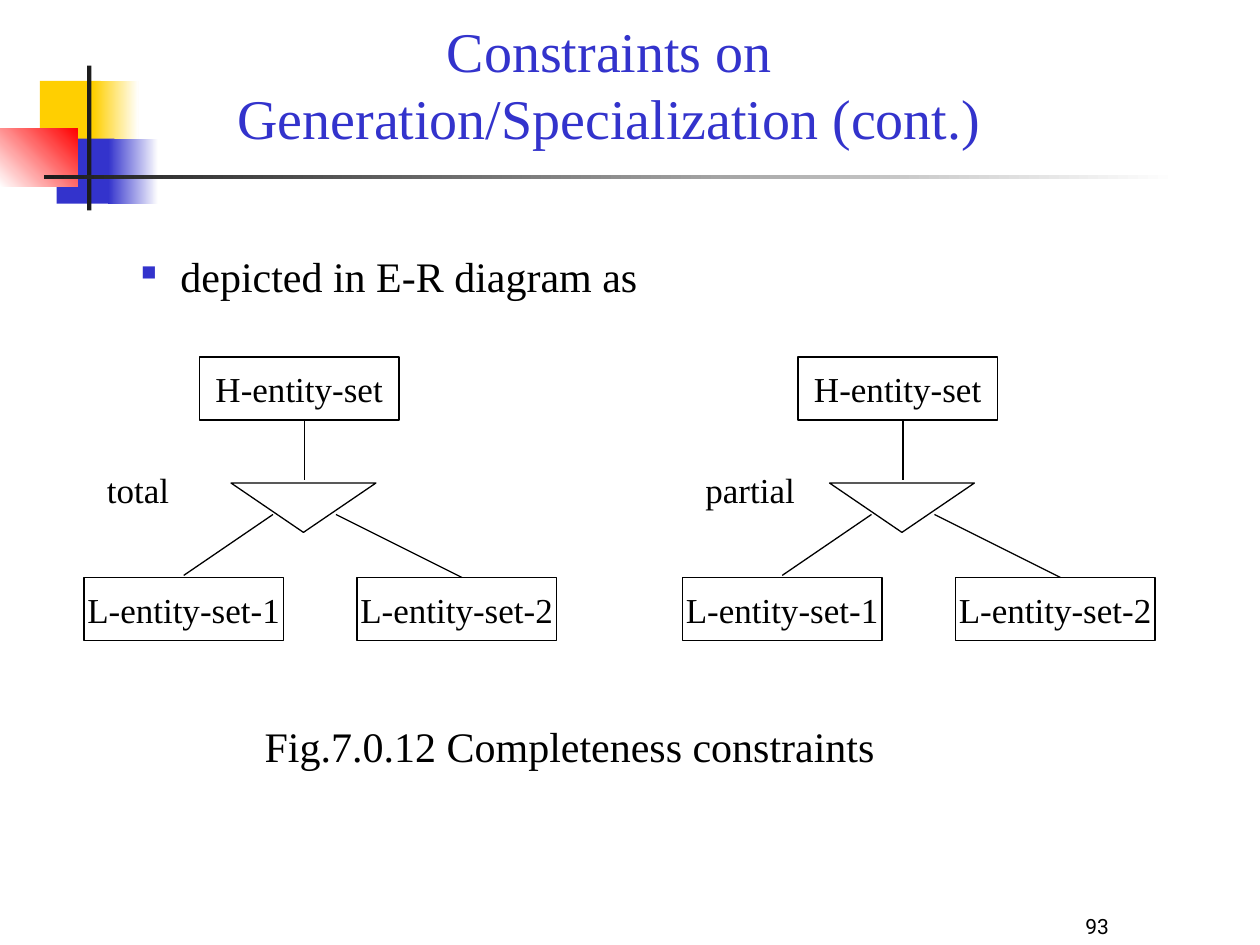
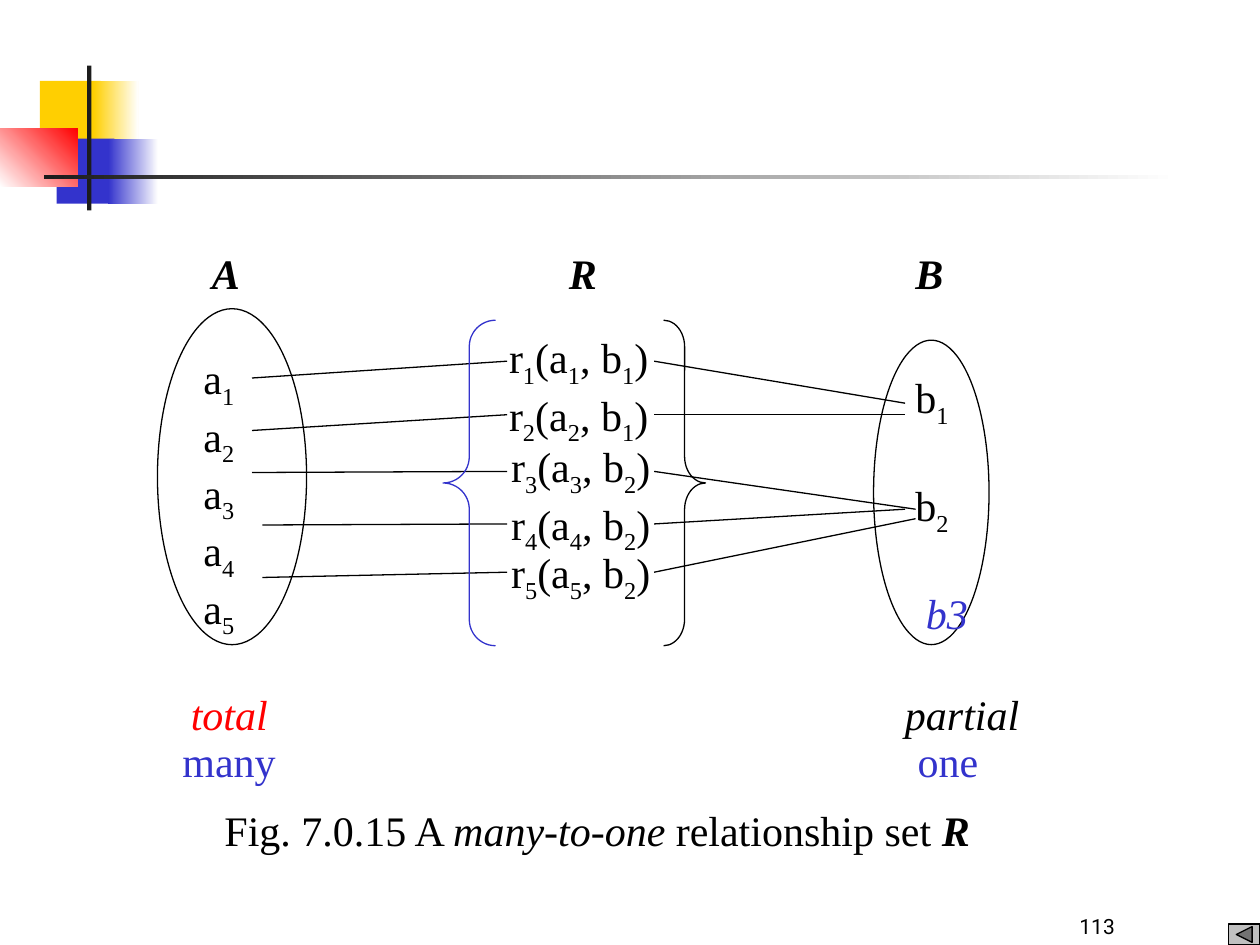
from lxml import etree
from pptx import Presentation
from pptx.dml.color import RGBColor
from pptx.enum.shapes import MSO_CONNECTOR, MSO_SHAPE as SHAPE
from pptx.enum.text import MSO_ANCHOR as ANCHOR, MSO_AUTO_SIZE, PP_ALIGN as ALIGN
from pptx.oxml.ns import qn
from pptx.util import Inches, Pt

BLACK = RGBColor(0x00, 0x00, 0x00)
WHITE = RGBColor(0xFF, 0xFF, 0xFF)
BLUE = RGBColor(0x33, 0x33, 0xCC)
YELLOW = RGBColor(0xFF, 0xCF, 0x01)
RED = RGBColor(0xFF, 0x00, 0x00)
DARK = RGBColor(0x1C, 0x1C, 0x1C)
GRAY = RGBColor(0xC0, 0xC0, 0xC0)

SERIF, SANS = "Times New Roman", "Roboto"
COLS, ROWS = 120, 90
TITLE_ONLY, BLANK = 5, 6


def add_run(p, text, size=24, color=BLACK, font=SERIF, bold=False, italic=False, sub=False):
    r = p.add_run()
    r.text = text
    f = r.font
    f.size, f.name, f.bold, f.italic = Pt(size), font, bold, italic
    f.color.rgb = color
    if sub:
        r._r.get_or_add_rPr().set("baseline", "-25000")


def write(p, text, align=ALIGN.LEFT, **fmt):
    p.alignment = align
    head, *tails = text.split("_")
    add_run(p, head, **fmt)
    for tail in tails:
        add_run(p, tail[0], sub=True, **fmt)
        if tail[1:]:
            add_run(p, tail[1:], **fmt)


class Deck:
    def __init__(self):
        self.prs = Presentation()
        self.prs.slide_width, self.prs.slide_height = Inches(10), Inches(7.5)
        self.slide = None

    def x(self, cols):
        return round(self.prs.slide_width * cols / COLS)

    def y(self, rows):
        return round(self.prs.slide_height * rows / ROWS)

    def box(self, x, y, w, h):
        return self.x(x), self.y(y), self.x(w), self.y(h)

    def start(self, number, title=None):
        layout = self.prs.slide_layouts[TITLE_ONLY if title else BLANK]
        self.slide = self.prs.slides.add_slide(layout)
        self.ornament()
        if title:
            self.title(title)
        self.text(number, 92, 84, 25, 6, anchor=ANCHOR.BOTTOM,
                  align=ALIGN.CENTER, size=12, font=SANS)

    def ornament(self):
        self.shape(SHAPE.RECTANGLE, 3.8, 7.7, 5.8, 6.2, fill=YELLOW, line=None)
        self.gradient(8.9, 7.7, 4.3, 6.2, YELLOW, WHITE)
        self.shape(SHAPE.RECTANGLE, 5.4, 13.2, 5.5, 6.2, fill=BLUE, line=None)
        self.gradient(10.3, 13.2, 4.8, 6.2, BLUE, WHITE)
        self.gradient(0, 12.2, 7.4, 5.6, WHITE, RED, angle=45)
        self.shape(SHAPE.RECTANGLE, 8.3, 6.25, 0.4, 13.8, fill=DARK, line=None)
        self.gradient(4.2, 16.65, 108, 0.45, DARK, WHITE)

    def title(self, text):
        sp = self.slide.shapes.title
        sp.left, sp.top, sp.width, sp.height = self.box(17.6, 0, 80.9, 15)
        tf = sp.text_frame
        tf.auto_size, tf.vertical_anchor = MSO_AUTO_SIZE.NONE, ANCHOR.BOTTOM
        write(tf.paragraphs[0], text, align=ALIGN.CENTER, size=32, color=BLUE)

    def shape(self, kind, x, y, w, h, fill=None, line=BLACK):
        sp = self.slide.shapes.add_shape(kind, *self.box(x, y, w, h))
        sp.shadow.inherit = False
        if fill is None:
            sp.fill.background()
        else:
            sp.fill.solid()
            sp.fill.fore_color.rgb = fill
        if line is None:
            sp.line.fill.background()
        else:
            sp.line.color.rgb, sp.line.width = line, Pt(0.75)
        return sp

    def gradient(self, x, y, w, h, first, last, angle=0):
        fill = self.shape(SHAPE.RECTANGLE, x, y, w, h, line=None).fill
        fill.gradient()
        fill.gradient_angle = angle
        for stop, color in zip(fill.gradient_stops, (first, last)):
            stop.color.rgb = color

    def line(self, x1, y1, x2, y2):
        ln = self.slide.shapes.add_connector(
            MSO_CONNECTOR.STRAIGHT, self.x(x1), self.y(y1), self.x(x2), self.y(y2))
        ln.line.color.rgb, ln.line.width = BLACK, Pt(0.75)
        etree.SubElement(ln._element.spPr, qn("a:effectLst"))

    def text(self, text, x, y, w, h=6, anchor=ANCHOR.TOP, **fmt):
        tf = self.slide.shapes.add_textbox(*self.box(x, y, w, h)).text_frame
        tf.word_wrap, tf.vertical_anchor = True, anchor
        for i, row in enumerate(text.split("\n")):
            write(tf.add_paragraph() if i else tf.paragraphs[0], row, **fmt)
        return tf

    def bullet(self, text, x, y, w):
        p = self.text(text, x, y, w).paragraphs[0]
        pPr = p._p.get_or_add_pPr()
        pPr.set("marL", str(self.x(13)))
        pPr.set("indent", str(-self.x(3.75)))
        color = etree.SubElement(pPr, qn("a:buClr"))
        etree.SubElement(color, qn("a:srgbClr"), val=str(BLUE))
        etree.SubElement(pPr, qn("a:buSzPct"), val="50000")
        etree.SubElement(pPr, qn("a:buChar"), char="■")

    def entity(self, name, x, y):
        tf = self.shape(SHAPE.RECTANGLE, x, y, 19, 6).text_frame
        tf.word_wrap, tf.vertical_anchor = False, ANCHOR.MIDDLE
        write(tf.paragraphs[0], name, align=ALIGN.CENTER, size=20)

    def brace(self, kind, x, w, color, curve):
        self.shape(kind, x, 30.5, w, 31, line=color).adjustments[0] = curve

    def hierarchy(self, label, x):
        self.shape(SHAPE.FLOWCHART_MERGE, x + 14, 46, 13.8, 4.7)
        self.line(x + 21, 40, x + 21, 45.7)
        self.line(x + 18, 49, x + 9.5, 54.8)
        self.line(x + 24, 49, x + 36, 55)
        self.text(label, x + 1, 44, 12.4, 5.3, size=20)
        self.entity("H-entity-set", x + 11, 34)
        self.entity("L-entity-set-1", x, 55)
        self.entity("L-entity-set-2", x + 26, 55)


def completeness(deck):
    deck.start("93", "Constraints on Generation/Specialization (cont.)")
    deck.bullet("depicted in E-R diagram as", 3, 23.3, 106)
    deck.hierarchy("total", 8)
    deck.hierarchy("partial", 65)
    deck.text("Fig.7.0.12 Completeness constraints", 22, 68, 64.5, align=ALIGN.CENTER)


def many_to_one(deck):
    deck.start("113")
    for name, x in (("A", 19), ("R", 53), ("B", 86)):
        deck.text(name, x, 23, 6, bold=True, italic=True)

    deck.shape(SHAPE.OVAL, 15, 29.4, 14.2, 32, fill=WHITE)
    deck.shape(SHAPE.OVAL, 83.2, 32.4, 11, 29, fill=WHITE)
    deck.text("\n".join(f"a_{i}" for i in range(1, 6)), 18.2, 33, 7, 28.5)
    b_top, b_step = 34.8, 10.28
    for i in (1, 2):
        deck.text(f"b_{i}", 86, b_top + (i - 1) * b_step, 7)
    deck.text("b3", 87, b_top + 2 * b_step, 7, color=BLUE, italic=True)

    deck.text("r_1(a_1, b_1)\nr_2(a_2, b_1)", 47.3, 31, 18, 12)
    deck.text("r_3(a_3, b_2)\nr_4(a_4, b_2)", 47.5, 41.4, 18, 12)
    deck.text("r_5(a_5, b_2)", 47.5, 51.5, 18, 6.7)

    links = [(24, 36, 34.4, 86.2, 38.4),
             (24, 41, 39.5, 86.2, 39.5),
             (24, 45, 44.9, 87.2, 48.5),
             (25, 50, 49.9, 86.2, 48.5),
             (25, 55, 54.5, 87.2, 49.4)]
    for a_x, a_y, r_y, b_x, b_y in links:
        deck.line(a_x, a_y, 48.3, r_y)
        deck.line(62.3, r_y, b_x, b_y)
    deck.brace(SHAPE.LEFT_BRACE, 42.2, 5, BLUE, 0.5)
    deck.brace(SHAPE.RIGHT_BRACE, 63.2, 4, BLACK, 0.63)

    deck.text("total", 17, 65, 11, color=RED, italic=True)
    deck.text("partial", 85, 65, 15, italic=True)
    deck.text("many", 16.2, 69.5, 13, color=BLUE)
    deck.text("one", 86.2, 69.5, 10, color=BLUE)
    p = deck.text("Fig. 7.0.15 A ", 20.2, 76, 78).paragraphs[0]
    add_run(p, "many-to-one ", italic=True)
    add_run(p, "relationship set ")
    add_run(p, "R", bold=True, italic=True)
    deck.shape(SHAPE.ACTION_BUTTON_BACK_OR_PREVIOUS, 117, 88, 3, 2, fill=GRAY)


def main():
    deck = Deck()
    completeness(deck)
    many_to_one(deck)
    deck.prs.save("out.pptx")


if __name__ == "__main__":
    main()
